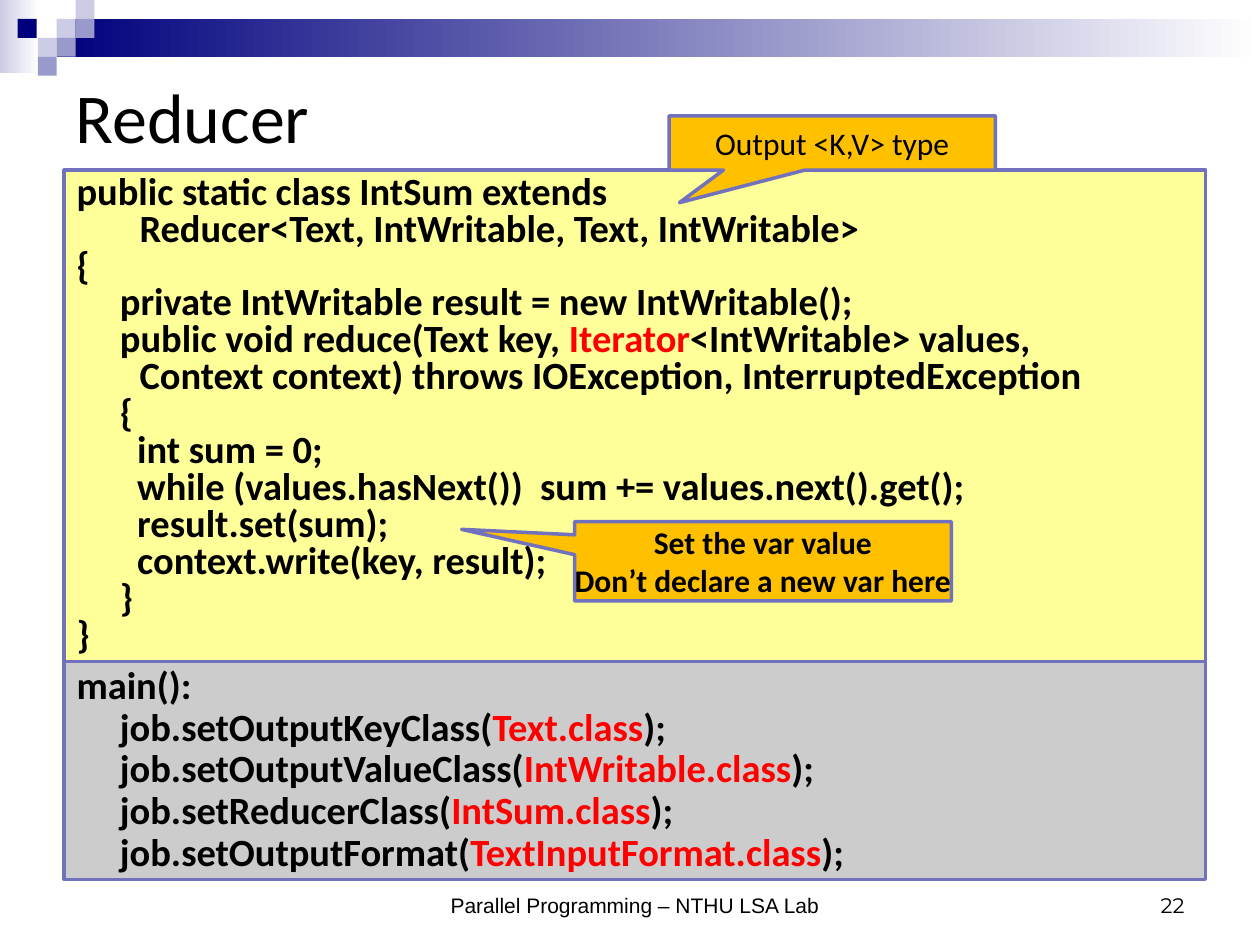
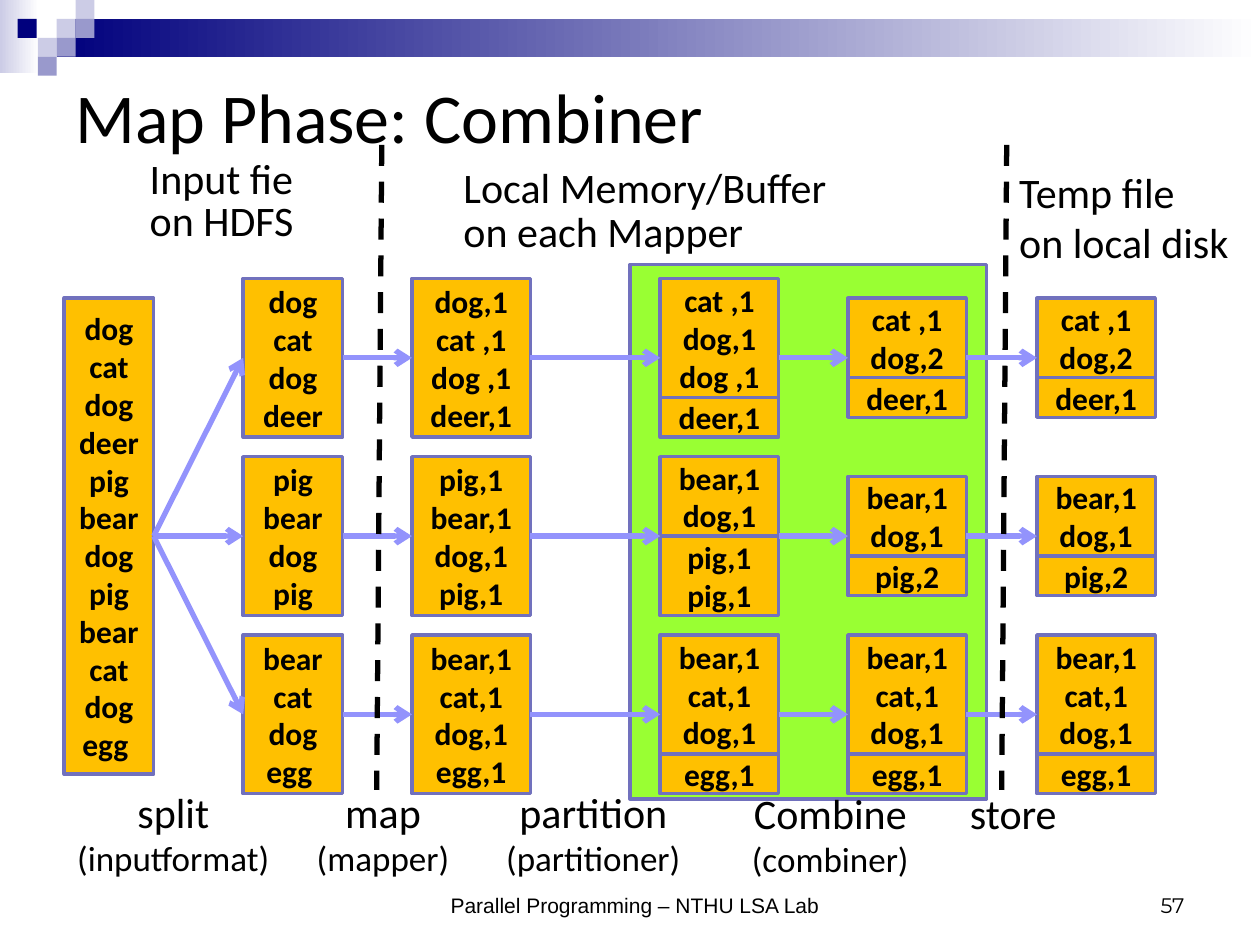
from dataclasses import dataclass
from typing import NamedTuple, Optional

from pptx import Presentation
from pptx.dml.color import RGBColor
from pptx.enum.dml import MSO_LINE
from pptx.enum.shapes import MSO_CONNECTOR, MSO_SHAPE
from pptx.enum.text import MSO_ANCHOR, MSO_AUTO_SIZE, PP_ALIGN
from pptx.oxml.ns import qn
from pptx.util import Inches, Pt
from lxml.etree import SubElement

BLACK = RGBColor(0x00, 0x00, 0x00)
WHITE = RGBColor(0xFF, 0xFF, 0xFF)
RED = RGBColor(0xFF, 0x00, 0x00)
NAVY = RGBColor(0x00, 0x00, 0x7D)
LILAC = RGBColor(0x99, 0x99, 0xCC)
PALE_LILAC = RGBColor(0xCC, 0xCC, 0xE6)
OUTLINE = RGBColor(0x71, 0x71, 0xBD)
ARROW = RGBColor(0x93, 0x93, 0xFC)
ORANGE = RGBColor(0xFF, 0xC0, 0x00)
YELLOW = RGBColor(0xFF, 0xFF, 0x99)
GREY = RGBColor(0xCC, 0xCC, 0xCC)
GREEN = RGBColor(0x99, 0xFF, 0x33)

BODY_FONT = "Calibri"
FOOTER = "Parallel Programming – NTHU LSA Lab"
TITLE_ONLY = 5


class Box(NamedTuple):
    left: float
    top: float
    width: float
    height: float

    def lengths(self) -> list:
        return [Inches(value) for value in self]


@dataclass
class TextStyle:
    size: float = 18
    bold: bool = False
    font: str = BODY_FONT
    align: PP_ALIGN = PP_ALIGN.LEFT
    anchor: MSO_ANCHOR = MSO_ANCHOR.MIDDLE
    spacing: Optional[float] = None
    margin: Optional[float] = None


@dataclass
class Label:
    box: Box
    lines: list
    spacing: Optional[float] = None
    align: PP_ALIGN = PP_ALIGN.LEFT
    second_size: float = 24


@dataclass
class Column:
    left: float
    width: float
    stacks: list  # one stack per row, each a list of parts, each part a list of lines


# Header squares: left, top and colour
SQUARE = 0.15
HEADER_SQUARES = [
    (0.45, 0.15, PALE_LILAC), (0.6, 0, PALE_LILAC), (0.6, 0.15, LILAC),
    (0.3, 0.3, PALE_LILAC), (0.14, 0.15, NAVY), (0.45, 0.3, LILAC),
    (0.3, 0.45, LILAC),
]

# In code lines, the text between two bars is red
REDUCER_CODE = [
    "public static class IntSum extends",
    "\tReducer<Text, IntWritable, Text, IntWritable>",
    "{",
    "     private IntWritable result = new IntWritable();",
    "     public void reduce(Text key, |Iterator|<IntWritable> values,",
    "\tContext context) throws IOException, InterruptedException",
    "     {",
    "       int sum = 0;",
    "       while (values.hasNext())  sum += values.next().get();",
    "       result.set(sum);",
    "       context.write(key, result);",
    "     }",
    "}",
]
MAIN_CODE = [
    "main():",
    "     job.setOutputKeyClass(|Text.class|);",
    "     job.setOutputValueClass(|IntWritable.class|);",
    "     job.setReducerClass(|IntSum.class|);",
    "     job.setOutputFormat(|TextInputFormat.class|);",
]

# Data flow: three rows, each box as tall as its lines
LINE_HEIGHT = 0.315
ROW_CENTRES = [2.84, 4.255, 5.67]
INPUT_WORDS = ["dog", "cat", "dog", "deer", "pig", "bear",
               "dog", "pig", "bear", "cat", "dog", "egg "]
BEAR_STACK = [["bear,1", "cat,1", "dog,1"], ["egg,1"]]
COMBINED = [
    [["cat ,1", "dog,2"], ["deer,1"]],
    [["bear,1", "dog,1"], ["pig,2"]],
    BEAR_STACK,
]
COLUMNS = [
    Column(1.93, 0.79, [[INPUT_WORDS[start:start + 4]] for start in (0, 4, 8)]),
    Column(3.27, 0.94, [
        [["dog,1", "cat ,1", "dog ,1", "deer,1"]],
        [["pig,1", "bear,1", "dog,1", "pig,1"]],
        [["bear,1", "cat,1", "dog,1", "egg,1"]],
    ]),
    Column(5.24, 0.94, [
        [["cat ,1", "dog,1", "dog ,1"], ["deer,1"]],
        [["bear,1", "dog,1"], ["pig,1", "pig,1"]],
        BEAR_STACK,
    ]),
    Column(6.73, 0.94, COMBINED),
    Column(8.23, 0.94, COMBINED),
]
LABELS = [
    Label(Box(1.09, 1.23, 1.47, 0.78), ["Input fie", "on HDFS"], Pt(24)),
    Label(Box(3.58, 1.29, 3.22, 0.8),
          ["Local Memory/Buffer", "on each Mapper"], Pt(24.8)),
    Label(Box(7.99, 1.27, 2, 0.91), ["Temp file", "on local disk"]),
    Label(Box(7.6, 6.2, 1.1, 0.5), ["store"]),
] + [
    Label(Box(left, top, width, 0.84), lines, None, PP_ALIGN.CENTER, 20)
    for left, top, width, lines in [
        (0.35, 6.19, 2.05, ["split", "(inputformat)"]),
        (2.24, 6.19, 1.6, ["map", "(mapper)"]),
        (3.43, 6.19, 2.56, ["partition", "(partitioner)"]),
        (5.79, 6.2, 1.6, ["Combine", "(combiner)"]),
    ]
]
CODE_STYLE = {"size": 22, "bold": True}
CENTRED = {"align": PP_ALIGN.CENTER, "margin": 0}


def write_text(shape, lines: list, style: TextStyle, second_size: float = 0) -> None:
    frame = shape.text_frame
    frame.word_wrap = True
    frame.auto_size = MSO_AUTO_SIZE.NONE
    frame.vertical_anchor = style.anchor
    if style.margin is not None:
        frame.margin_left = frame.margin_right = Inches(style.margin)
        frame.margin_top = frame.margin_bottom = Inches(style.margin)
    for number, line in enumerate(lines):
        paragraph = frame.add_paragraph() if number else frame.paragraphs[0]
        paragraph.alignment = style.align
        if style.spacing:
            paragraph.line_spacing = style.spacing
        for piece, text in enumerate(line.split("|")):
            run = paragraph.add_run()
            run.text = text
            run.font.name = style.font
            run.font.size = Pt(second_size if number and second_size else style.size)
            run.font.bold = style.bold
            run.font.color.rgb = RED if piece % 2 else BLACK


def add_box(slide, box: Box, fill: RGBColor, outlined: bool = True,
            kind: MSO_SHAPE = MSO_SHAPE.RECTANGLE):
    shape = slide.shapes.add_shape(kind, *box.lengths())
    shape.shadow.inherit = False
    shape.fill.solid()
    shape.fill.fore_color.rgb = fill
    if outlined:
        shape.line.color.rgb = OUTLINE
        shape.line.width = Pt(2)
    else:
        shape.line.fill.background()
    return shape


def add_text(slide, box: Box, lines: list, style: TextStyle, second_size: float = 0) -> None:
    write_text(slide.shapes.add_textbox(*box.lengths()), lines, style, second_size)


def add_fade(slide, box: Box, start: RGBColor) -> None:
    fill = add_box(slide, box, start, outlined=False).fill
    fill.gradient()
    fill.gradient_angle = 0
    for stop, color in zip(fill.gradient_stops, (start, WHITE)):
        stop.color.rgb = color


def add_line(slide, start: tuple, end: tuple, color: RGBColor):
    points = [Inches(value) for value in (*start, *end)]
    line = slide.shapes.add_connector(MSO_CONNECTOR.STRAIGHT, *points)
    line.line.color.rgb = color
    line.line.width = Pt(3)
    SubElement(line._element.spPr, qn("a:effectLst"))
    return line


def add_arrow(slide, start: tuple, end: tuple, source=None, target=None) -> None:
    arrow = add_line(slide, start, end, ARROW)
    SubElement(arrow.line._get_or_add_ln(), qn("a:tailEnd"), type="arrow")
    if source is not None:
        arrow.begin_connect(source, 3)
    if target is not None:
        arrow.end_connect(target, 1)


def add_callout(slide, box: Box, tip: tuple, lines: list, bold: bool) -> None:
    callout = add_box(slide, box, ORANGE, kind=MSO_SHAPE.RECTANGULAR_CALLOUT)
    callout.adjustments[0], callout.adjustments[1] = tip
    write_text(callout, lines, TextStyle(bold=bold, **CENTRED))


def add_stack(slide, left: float, width: float, centre: float, parts: list):
    """Draw the parts around the centre; return the box when there is only one."""
    top = centre - sum(map(len, parts)) * LINE_HEIGHT / 2
    for lines in parts:
        height = len(lines) * LINE_HEIGHT
        shape = add_box(slide, Box(left, top, width, height), ORANGE)
        write_text(shape, lines, TextStyle(bold=True, **CENTRED))
        top += height
    return shape if len(parts) == 1 else None


def add_base_slide(presentation, title: str, number: int):
    slide = presentation.slides.add_slide(presentation.slide_layouts[TITLE_ONLY])
    # Header band
    add_fade(slide, Box(0, 0, 0.31, 0.58), PALE_LILAC)
    add_fade(slide, Box(0.45, 0.15, 9.55, 0.3), NAVY)
    for left, top, color in HEADER_SQUARES:
        add_box(slide, Box(left, top, SQUARE, SQUARE), color, outlined=False)
    # Title
    heading = slide.shapes.title
    heading.left, heading.top, heading.width, heading.height = Box(0.5, 0.5, 9, 0.83).lengths()
    write_text(heading, [title], TextStyle(size=40))
    # Footer and slide number
    for box, text, font, align in (
        (Box(3.08, 6.83, 3.92, 0.5), FOOTER, "Arial", PP_ALIGN.CENTER),
        (Box(7.17, 6.83, 2.33, 0.5), str(number), "Montserrat", PP_ALIGN.RIGHT),
    ):
        add_text(slide, box, [text], TextStyle(12, False, font, align, MSO_ANCHOR.BOTTOM))
    return slide


def build_reducer(presentation) -> None:
    slide = add_base_slide(presentation, "Reducer", 22)
    # Code panels
    for top, height, fill, code, spacing in (
        (1.35, 3.9, YELLOW, REDUCER_CODE, 0.8),
        (5.25, 1.73, GREY, MAIN_CODE, 0.9),
    ):
        panel = add_box(slide, Box(0.51, top, 9.06, height), fill)
        write_text(panel, code, TextStyle(spacing=spacing, **CODE_STYLE))
    # Callouts
    add_callout(slide, Box(5.31, 0.92, 2.59, 0.43), (-0.468, 1.102),
                ["Output <K,V> type"], False)
    add_callout(slide, Box(4.56, 4.14, 2.99, 0.63), (-0.8, -0.402),
                ["Set the var value", "Don’t declare a new var here"], True)


def build_combiner(presentation) -> None:
    slide = add_base_slide(presentation, "Map Phase: Combiner", 57)
    add_box(slide, Box(5, 2.1, 2.83, 4.24), GREEN)

    # Input file, then each column with the arrows that lead to it
    input_left, input_width, middle = 0.51, 0.71, ROW_CENTRES[1]
    input_box = add_stack(slide, input_left, input_width, middle, [INPUT_WORDS])
    sources = [input_box] * 3
    starts = [(input_left + input_width, middle)] * 3
    for column in COLUMNS:
        right = column.left + column.width
        for row, (centre, parts) in enumerate(zip(ROW_CENTRES, column.stacks)):
            target = add_stack(slide, column.left, column.width, centre, parts)
            add_arrow(slide, starts[row], (column.left, centre), sources[row], target)
            sources[row], starts[row] = target, (right, centre)

    # Labels
    for label in LABELS:
        style = TextStyle(24, align=label.align, anchor=MSO_ANCHOR.TOP, spacing=label.spacing)
        add_text(slide, label.box, label.lines, style, label.second_size)

    # Borders between storage areas
    for left in (2.99, 7.95):
        border = add_line(slide, (left + 0.04, 1.15), (left, 6.27), BLACK)
        border.line.dash_style = MSO_LINE.DASH


def main() -> None:
    presentation = Presentation()
    presentation.slide_width, presentation.slide_height = Inches(10), Inches(7.5)
    build_reducer(presentation)
    build_combiner(presentation)
    presentation.save("out.pptx")


if __name__ == "__main__":
    main()
